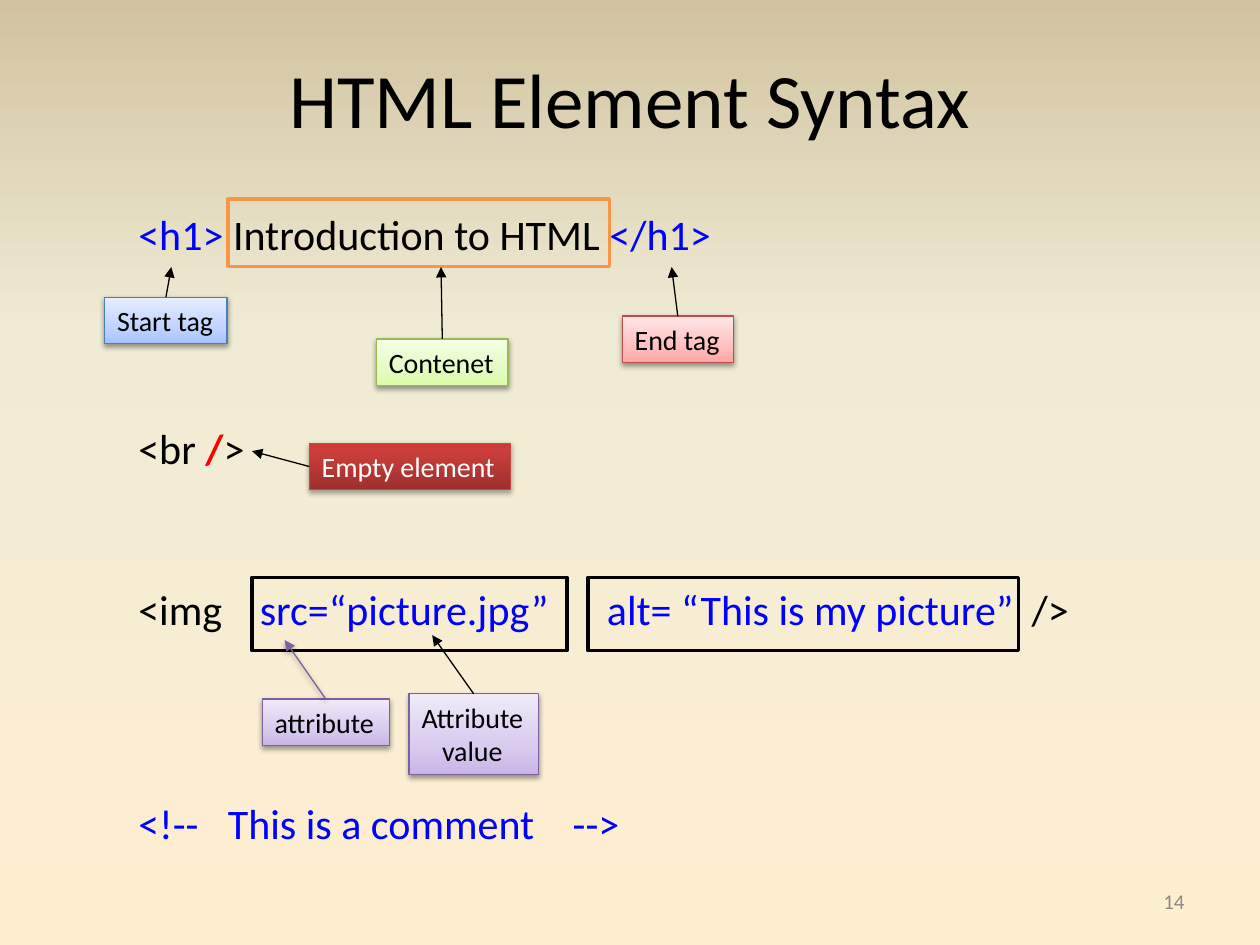
import copy
import pptx
import pptx.dml.color
import pptx.enum.shapes
import pptx.enum.text
import pptx.oxml
import pptx.oxml.ns
import pptx.util

Pt = pptx.util.Pt
qn = pptx.oxml.ns.qn
ALIGN = pptx.enum.text.PP_ALIGN
ANCHOR = pptx.enum.text.MSO_ANCHOR
RECT = pptx.enum.shapes.MSO_SHAPE.RECTANGLE
STRAIGHT = pptx.enum.shapes.MSO_CONNECTOR.STRAIGHT
NS = 'xmlns:a="http://schemas.openxmlformats.org/drawingml/2006/main"'

BLACK, BLUE, RED, WHITE = "000000", "0000FF", "FF0000", "FFFFFF"
PURPLE = "7D60A0"
BACK = [(0, "FFEFD1"), (65, "F0EBD5"), (100, "D1C39F")]

# Code lines: row number, tab stops, runs (text, colour)
PITCH, LINE = 30.7, 26.4
CODE = [
    (0, [], [("<h1>", BLUE), (" Introduction to HTML ", BLACK), ("</h1>", BLUE)]),
    (4, [], [("<br ", BLACK), ("/", RED), (">", BLACK)]),
    (7, [69.4, 267.8, 510.5],
     [("<img\t", BLACK),
      ("src=“picture.jpg”\talt= “This is my picture”", BLUE),
      ("\t/>", BLACK)]),
    (11, [51.1, 248.2], [("<!--\tThis is a comment\t-->", BLUE)]),
]

# Frames: place, line colour
FRAMES = [
    ((130.3, 113.8, 217.9, 38.4), "F79646"),
    ((144, 330, 180, 41.8), BLACK),
    ((336, 330, 246, 41.8), BLACK),
]

# Looks: gradient stops, line, text colour, shadow opacity
LOOKS = {
    "blue": ([(0, "A4C4FF"), (35, "BFD4FF"), (100, "E6EEFF")], "4B7EBC", BLACK, 38),
    "pink": ([(0, "FFA6A5"), (35, "FFC0BF"), (100, "FFE7E7")], "BF4C48", BLACK, 38),
    "green": ([(0, "DAFDA7"), (35, "E4FCC2"), (100, "F5FFE7")], "98B955", BLACK, 38),
    "red": ([(0, "9C2F2D"), (80, "CB3E3A"), (100, "CE3B37")], "BF4C48", WHITE, 35),
    "purple": ([(0, "C9B5E8"), (35, "D8CBEE"), (100, "F0EAF9")], PURPLE, BLACK, 38),
}

# Labels: text, look, place, side the arrow leaves, arrow tip, arrow colour
LABELS = [
    ("Start tag", "blue", (59.8, 169.9, 70, 26.6), 0, (97.9, 152.6), BLACK),
    ("End tag", "pink", (355.6, 180.6, 63.4, 26.6), 0, (383.8, 152.6), BLACK),
    ("Contenet", "green", (215.1, 193.7, 75.3, 26.6), 0, (252, 152.6), BLACK),
    ("Empty element", "red", (176.8, 253.3, 114.8, 26.6), 1, (144, 257.8), BLACK),
    ("attribute", "purple", (149.8, 399.4, 72.6, 26.6), 0, (162.7, 365.8), PURPLE),
    ("Attribute\nvalue", "purple", (233.8, 396.5, 73.8, 46.1), 0, (247, 363), BLACK),
]


def rgb(code):
    return pptx.dml.color.RGBColor.from_string(code)


def blend(fill, root, stops):
    """Fill with gradient stops running upward; root holds the fill's XML."""
    fill.gradient()
    fill.gradient_angle = 90
    group = root.find(".//" + qn("a:gsLst"))
    while len(group) < len(stops):
        group.append(copy.deepcopy(group[0]))
    for stop, (spot, code) in zip(fill.gradient_stops, stops):
        stop.color.rgb = rgb(code)
        stop.position = spot / 100


def shade(item, alpha=0):
    """Give a soft drop shadow, or none when alpha is 0."""
    drop = (f'<a:outerShdw blurRad="{Pt(3.1)}" dist="{Pt(1.6)}" dir="5400000" '
            f'rotWithShape="0"><a:srgbClr val="{BLACK}"><a:alpha val="{alpha * 1000}"/>'
            '</a:srgbClr></a:outerShdw>') if alpha else ""
    item._element.spPr.append(
        pptx.oxml.parse_xml(f"<a:effectLst {NS}>{drop}</a:effectLst>"))


def style(font, size, code):
    font.name, font.size, font.color.rgb = "Calibri", Pt(size), rgb(code)


def write(slide, place, text, size, code, align):
    frame = slide.shapes.add_textbox(*map(Pt, place)).text_frame
    frame.word_wrap = True
    frame.vertical_anchor = ANCHOR.MIDDLE
    frame.text = text
    para = frame.paragraphs[0]
    para.alignment = align
    style(para.runs[0].font, size, code)


def code_text(slide):
    frame = slide.shapes.add_textbox(Pt(72), Pt(119), Pt(612), Pt(373)).text_frame
    frame.word_wrap = True
    last = 0
    for row, tabs, runs in CODE:
        para = frame.add_paragraph() if row else frame.paragraphs[0]
        if tabs:
            stops = "".join(f'<a:tab pos="{Pt(pos)}" algn="l"/>' for pos in tabs)
            para._p.get_or_add_pPr().append(
                pptx.oxml.parse_xml(f"<a:tabLst {NS}>{stops}</a:tabLst>"))
        para.line_spacing = 0.9
        if row:
            para.space_before = Pt(round((row - last) * PITCH - LINE, 1))
        last = row
        for text, code in runs:
            run = para.add_run()
            run.text = text
            style(run.font, 24, code)
            run.font.bold = code == RED


def outline(slide, place, code):
    box = slide.shapes.add_shape(RECT, *map(Pt, place))
    box.shadow.inherit = False
    box.fill.background()
    box.line.color.rgb, box.line.width = rgb(code), Pt(2)


def label(slide, text, look, place, side, tip, tint):
    """Add a shaded label box and the arrow from it to its tip."""
    stops, edge, ink, alpha = LOOKS[look]
    box = slide.shapes.add_shape(RECT, *map(Pt, place))
    blend(box.fill, box._element, stops)
    box.line.color.rgb, box.line.width = rgb(edge), Pt(0.75)
    shade(box, alpha)
    frame = box.text_frame
    frame.word_wrap = False
    frame.auto_size = pptx.enum.text.MSO_AUTO_SIZE.SHAPE_TO_FIT_TEXT
    frame.vertical_anchor = ANCHOR.TOP
    frame.text = text
    for num, para in enumerate(frame.paragraphs):
        para.alignment = ALIGN.CENTER if num else ALIGN.LEFT
        style(para.runs[0].font, 16, ink)

    arrow = slide.shapes.add_connector(STRAIGHT, 0, 0, *map(Pt, tip))
    arrow.begin_connect(box, side)
    arrow.line.color.rgb, arrow.line.width = rgb(tint), Pt(0.75)
    arrow.line._get_or_add_ln().append(
        pptx.oxml.parse_xml(f'<a:tailEnd {NS} type="triangle"/>'))
    shade(arrow, alpha if tint == PURPLE else 0)


def main():
    deck = pptx.Presentation()
    deck.slide_width, deck.slide_height = Pt(720), Pt(540)
    slide = deck.slides.add_slide(deck.slide_layouts[6])
    blend(slide.background.fill, slide._element, BACK)
    write(slide, (36, 21.6, 648, 68.4), "HTML Element Syntax", 44, BLACK, ALIGN.CENTER)
    code_text(slide)
    for place, code in FRAMES:
        outline(slide, place, code)
    for item in LABELS:
        label(slide, *item)
    write(slide, (516, 500.5, 168, 28.8), "14", 12, "898989", ALIGN.RIGHT)
    deck.save("out.pptx")


if __name__ == "__main__":
    main()
